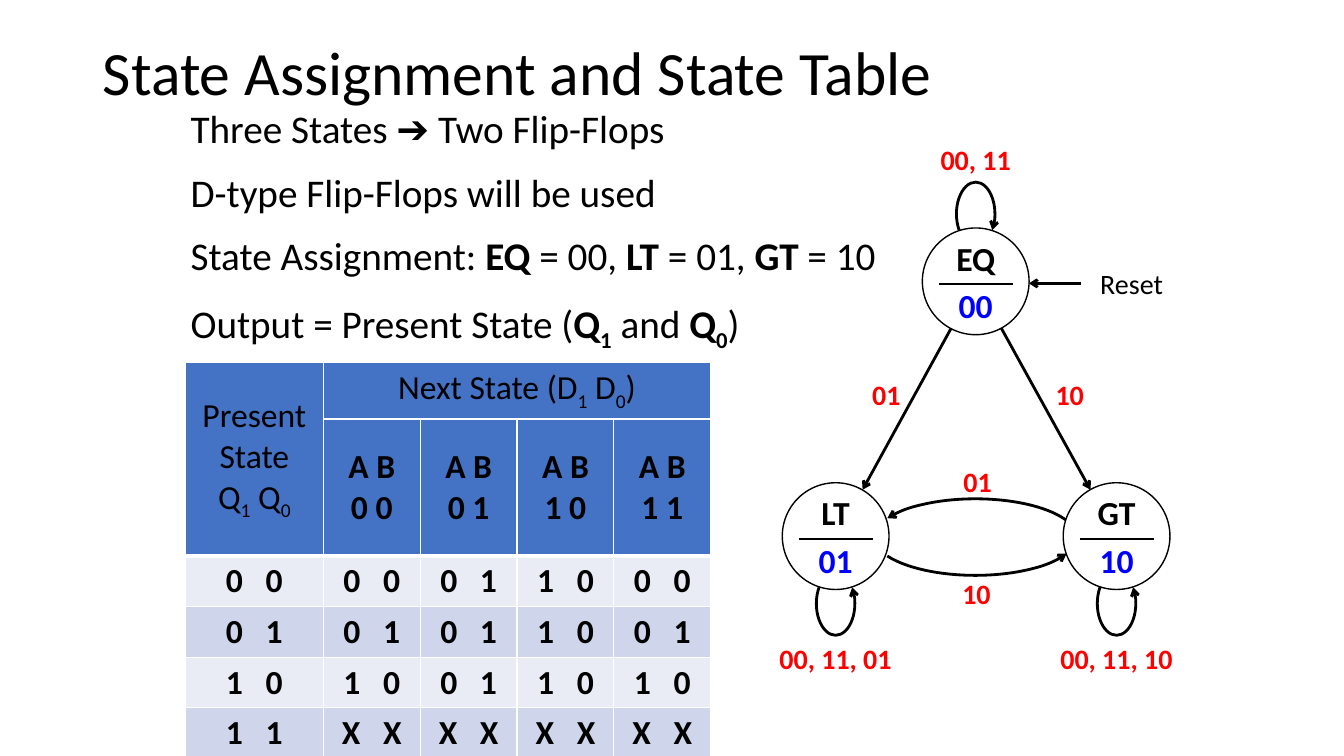
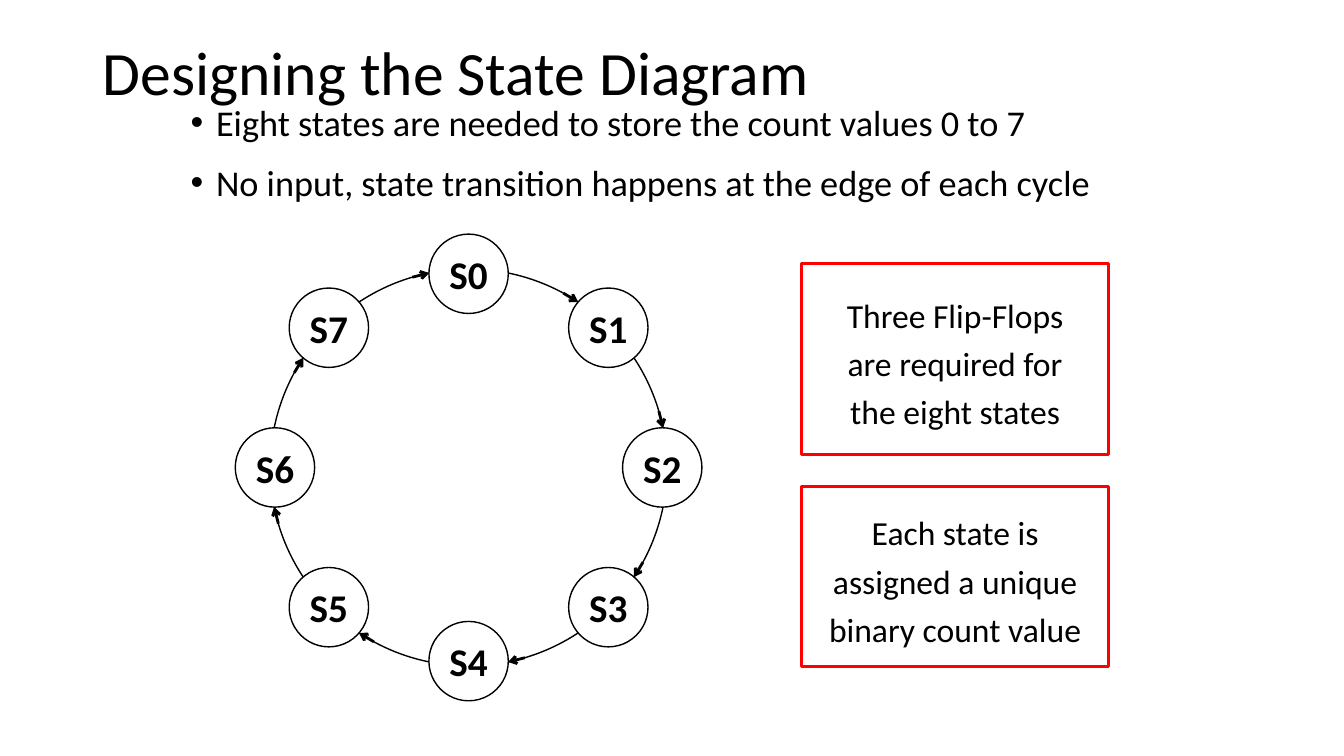
import math
from dataclasses import dataclass
from typing import Optional, Sequence, Union

import pptx
import pptx.dml.color
import pptx.enum.shapes
import pptx.enum.text
import pptx.oxml
import pptx.oxml.ns
import pptx.util
from lxml import etree

Cm, Pt = pptx.util.Cm, pptx.util.Pt
Shape = pptx.enum.shapes.MSO_SHAPE
Align = pptx.enum.text.PP_ALIGN
Anchor = pptx.enum.text.MSO_ANCHOR
qn = pptx.oxml.ns.qn

FONT = "Calibri"
COLORS = {
    "black": "000000", "white": "FFFFFF", "red": "FF0000", "blue": "0000FF",
    "header": "4472C4", "light band": "E9EBF5", "dark band": "CFD5EA",
}


@dataclass(frozen=True)
class Span:
    text: str
    bold: Optional[bool] = None
    sub: bool = False
    color: Optional[str] = None
    gap: float = 0  # extra character spacing in points


@dataclass(frozen=True)
class State:
    name: str
    code: str
    x: float
    y: float
    loop_text: str
    loop_width: float
    loop_side: int  # -1 above the circle, 1 below it


@dataclass(frozen=True)
class Label:
    text: str
    x: float
    y: float
    width: float
    color: str = "red"
    bold: bool = True


@dataclass(frozen=True)
class Arrow:
    start: tuple[float, float]
    end: tuple[float, float]


@dataclass(frozen=True)
class Note:
    top: float
    height: float
    lines: tuple[str, ...]


Line = Union[str, Sequence[Span]]


def rgb(name: str):
    return pptx.dml.color.RGBColor.from_string(COLORS[name])


def add_span(para, span: Span, *, size: float, color: str, bold: bool) -> None:
    run = para.add_run()
    run.text = span.text
    run.font.name = FONT
    run.font.size = Pt(size)
    run.font.bold = bold if span.bold is None else span.bold
    run.font.color.rgb = rgb(span.color or color)
    properties = run._r.get_or_add_rPr()
    if span.sub:
        properties.set("baseline", "-25000")
    if span.gap:
        properties.set("spc", str(round(span.gap * 100)))


def set_bullet(para, bullet: str) -> None:
    """Set a hanging bullet, or none when the string is empty."""
    properties = para._p.get_or_add_pPr()
    indent = Cm(0.64) if bullet else 0
    properties.set("marL", str(indent))
    properties.set("indent", str(-indent))
    if bullet:
        etree.SubElement(properties, qn("a:buFont"), typeface="Arial")
        etree.SubElement(properties, qn("a:buChar"), char=bullet)
    else:
        etree.SubElement(properties, qn("a:buNone"))


def write(frame, lines: Sequence[Line], *, size: float, color: str = "black",
          bold: bool = False, align=Align.CENTER, spacing: Optional[float] = None,
          before: float = 0, after: float = 0, bullet: Optional[str] = None) -> None:
    """Fill a text frame, one paragraph per line; before and after act between lines."""
    for index, line in enumerate(lines):
        para = frame.paragraphs[0] if index == 0 else frame.add_paragraph()
        if bullet is not None:
            set_bullet(para, bullet)
        para.alignment = align
        para.line_spacing = spacing
        para.space_before = Pt(before if index else 0)
        para.space_after = Pt(after if index < len(lines) - 1 else 0)
        for span in [Span(line)] if isinstance(line, str) else line:
            add_span(para, span, size=size, color=color, bold=bold)


def set_frame(frame, vertical: float = 0, wrap: bool = True) -> None:
    """Centre the text vertically and leave no side margins."""
    frame.word_wrap = wrap
    frame.vertical_anchor = Anchor.MIDDLE
    frame.margin_left = frame.margin_right = 0
    frame.margin_top = frame.margin_bottom = Cm(vertical)


def place(shape, left: float, top: float, width: float, height: float) -> None:
    shape.left, shape.top, shape.width, shape.height = map(Cm, (left, top, width, height))


def add_page(deck, title: str, lines: Sequence[Line], *, body: tuple[float, ...],
             size: float, bullet: str = ""):
    page = deck.slides.add_slide(deck.slide_layouts[1])
    heading, content = page.placeholders
    place(heading, 2.34, 0.06, 29.21, 3.68)
    place(content, *body)
    heading.text_frame.vertical_anchor = Anchor.MIDDLE
    content.text_frame.vertical_anchor = Anchor.TOP
    for shape in (heading, content):
        shape.text_frame.auto_size = pptx.enum.text.MSO_AUTO_SIZE.NONE
    write(heading.text_frame, [title], size=44, align=Align.LEFT, spacing=0.9)
    write(content.text_frame, lines, size=size, align=Align.LEFT, spacing=0.9,
          before=15, bullet=bullet)
    return page


def add_outline(page, kind, x: float, y: float, width: float, height: float, *,
                fill: Optional[str] = None, line: str = "black", weight: float = 1):
    """Add a preset shape centred on x, y."""
    shape = page.shapes.add_shape(kind, Cm(x - width / 2), Cm(y - height / 2),
                                  Cm(width), Cm(height))
    shape.shadow.inherit = False
    if fill:
        shape.fill.solid()
        shape.fill.fore_color.rgb = rgb(fill)
    else:
        shape.fill.background()
    shape.line.color.rgb = rgb(line)
    shape.line.width = Pt(weight)
    return shape


def add_arrowhead(shape, end: str) -> None:
    etree.SubElement(shape.line._get_or_add_ln(), qn(f"a:{end}"), type="arrow")


def add_arc(page, x: float, y: float, width: float, height: float,
            angles: tuple[float, float], *, flip: bool = False, end: str = "tailEnd") -> None:
    arc = add_outline(page, Shape.ARC, x, y, width, height, weight=2)
    arc.adjustments[0], arc.adjustments[1] = angles
    if flip:
        arc._element.spPr.xfrm.set("flipV", "1")
    add_arrowhead(arc, end)


def add_line(page, start: tuple[float, float], end: tuple[float, float], *,
             weight: float = 1, arrow: bool = False) -> None:
    line = page.shapes.add_connector(pptx.enum.shapes.MSO_CONNECTOR.STRAIGHT,
                                     *map(Cm, (*start, *end)))
    line.line.color.rgb = rgb("black")
    line.line.width = Pt(weight)
    if arrow:
        add_arrowhead(line, "tailEnd")
    etree.SubElement(line._element.spPr, qn("a:effectLst"))


def add_label(page, label: Label) -> None:
    height = 1.24
    box = page.shapes.add_textbox(Cm(label.x - label.width / 2), Cm(label.y - height / 2),
                                  Cm(label.width), Cm(height))
    set_frame(box.text_frame, wrap=False)
    write(box.text_frame, [label.text], size=20, color=label.color, bold=label.bold)


def add_state(page, state: State) -> None:
    side = state.loop_side
    add_arc(page, state.x, state.y + side * 1.7, 0.97, 1.6, (80.3, 26.56), flip=side > 0)
    add_label(page, Label(state.loop_text, state.x, state.y + side * 3.07, state.loop_width))
    circle = add_outline(page, Shape.OVAL, state.x, state.y, 2.69, 2.69, fill="white")
    set_frame(circle.text_frame)
    write(circle.text_frame, [state.name, [Span(state.code, color="blue")]],
          size=24, bold=True, after=5)
    divider = state.y + 0.07
    add_line(page, (state.x - 0.93, divider), (state.x + 0.93, divider))


def add_state_diagram(page) -> None:
    for arrow in (Arrow((24.61, 7.14), (27.48, 12.34)),
                  Arrow((24.59, 7.14), (21.74, 12.34)),
                  Arrow((27.23, 7.14), (25.93, 7.14))):
        add_line(page, arrow.start, arrow.end, weight=2, arrow=True)
    swing = (115.8, 209.3)
    add_arc(page, 24.58, 13.57, 5.16, 2, swing, end="headEnd")
    add_arc(page, 24.58, 13.5, 5.16, 2, swing, flip=True)
    for state in (State("EQ", "00", 24.59, 7.09, "00, 11", 2.26, -1),
                  State("LT", "01", 21.06, 13.51, "00, 11, 01", 3.33, 1),
                  State("GT", "10", 28.14, 13.51, "00, 11, 10", 3.33, 1)):
        add_state(page, state)
    for label in (Label("01", 22.34, 9.94, 0.94), Label("10", 26.96, 9.94, 0.94),
                  Label("01", 24.64, 12.14, 1.17), Label("10", 24.61, 14.96, 1.17),
                  Label("Reset", 28.52, 7.15, 2.08, "black", False)):
        add_label(page, label)


def fill_cell(cell, lines: Sequence[Line], *, fill: str, bold: bool,
              top: float = 1, bottom: float = 1) -> None:
    properties = cell._tc.get_or_add_tcPr()
    for side, weight in (("L", 1), ("R", 1), ("T", top), ("B", bottom)):
        border = etree.SubElement(properties, qn(f"a:ln{side}"), w=str(Pt(weight)))
        paint = etree.SubElement(border, qn("a:solidFill"))
        etree.SubElement(paint, qn("a:srgbClr"), val=COLORS["white"])
    cell.fill.solid()
    cell.fill.fore_color.rgb = rgb(fill)
    cell.vertical_anchor = Anchor.MIDDLE
    cell.margin_left = cell.margin_right = 0
    cell.margin_top = cell.margin_bottom = Cm(0.13)
    write(cell.text_frame, lines, size=24, bold=bold)


def add_state_table(page) -> None:
    widths = [3.48] + [2.44] * 4
    heights = [1.4, 1.88] + [0.94] * 4
    table = page.shapes.add_table(len(heights), len(widths), Cm(4.67), Cm(9.14),
                                  Cm(sum(widths)), Cm(sum(heights))).table
    table.first_row = table.horz_banding = False
    for column, width in zip(table.columns, widths):
        column.width = Cm(width)
    for row, height in zip(table.rows, heights):
        row.height = Cm(height)
    table.cell(0, 0).merge(table.cell(1, 0))
    table.cell(0, 1).merge(table.cell(0, 4))
    present = ["Present", "State", [Span("Q"), Span("1", sub=True),
                                    Span(" Q"), Span("0", sub=True)]]
    following = [[Span("Next State (D"), Span("1", sub=True), Span(" D"),
                  Span("0", sub=True), Span(")")]]
    fill_cell(table.cell(0, 0), present, fill="header", bold=False, bottom=3)
    fill_cell(table.cell(0, 1), following, fill="header", bold=False)
    for column, inputs in enumerate(("0 0", "0 1", "1 0", "1 1"), start=1):
        fill_cell(table.cell(1, column), ["A B", inputs], fill="header", bold=True, bottom=3)
    rows = ("00 00 01 10 00", "01 01 01 10 01", "10 10 01 10 10", "11 XX XX XX XX")
    for index, row in enumerate(rows):
        for column, (high, low) in enumerate(row.split()):
            fill_cell(table.cell(index + 2, column),
                      [[Span(high), Span(" ", gap=10.8), Span(low)]],
                      fill="dark band" if index % 2 else "light band", bold=True,
                      top=3 if index == 0 and column else 1)


def add_count_ring(page, count: int = 8) -> None:
    center_x, center_y, radius, node = 11.81, 11.78, 5.0, 2.0

    def at(degrees: float, reach: float = radius) -> tuple[float, float]:
        """Point at a clockwise angle from the top of the ring."""
        angle = math.radians(degrees)
        return center_x + reach * math.sin(angle), center_y - reach * math.cos(angle)

    add_outline(page, Shape.OVAL, center_x, center_y, 2 * radius, 2 * radius)
    edge = math.degrees(2 * math.asin(node / 4 / radius))
    for index in range(count):
        turn = index * 360 / count
        reach = 4.98 if index % 2 else 4.88
        circle = add_outline(page, Shape.OVAL, *at(turn, reach), node, node, fill="white")
        set_frame(circle.text_frame, vertical=0.13)
        write(circle.text_frame, [f"S{index}"], size=28, bold=True)
        add_line(page, at(turn - edge - 5), at(turn - edge), weight=2, arrow=True)


def add_note(page, note: Note) -> None:
    box = add_outline(page, Shape.RECTANGLE, 24.07, note.top + note.height / 2,
                      7.75, note.height, line="red", weight=2)
    set_frame(box.text_frame)
    write(box.text_frame, note.lines, size=24, spacing=1.2)


def main() -> None:
    deck = pptx.Presentation()
    deck.slide_width, deck.slide_height = Cm(33.87), Cm(19.05)

    assignment = [Span("State Assignment: "), Span("EQ", True), Span(" = 00, "),
                  Span("LT", True), Span(" = 01, "), Span("GT", True), Span(" = 10")]
    output = [Span("Output = Present State ("), Span("Q", True), Span("1", True, sub=True),
              Span(" and "), Span("Q", True), Span("0", True, sub=True), Span(")")]
    page = add_page(deck, "State Assignment and State Table",
                    ["Three States ➔ Two Flip-Flops", "D-type Flip-Flops will be used",
                     assignment, output], body=(4.55, 2.64, 17.86, 6.38), size=28)
    add_state_diagram(page)
    add_state_table(page)

    page = add_page(deck, "Designing the State Diagram",
                    ["Eight states are needed to store the count values 0 to 7",
                     "No input, state transition happens at the edge of each cycle"],
                    body=(4.55, 2.51, 24.77, 3.12), size=25.9, bullet="•")
    add_count_ring(page)
    add_note(page, Note(6.65, 4.8, ("Three Flip-Flops", "are required for",
                                    "the eight states")))
    add_note(page, Note(12.27, 4.52, ("Each state is", "assigned a unique",
                                      "binary count value")))
    deck.save("out.pptx")


if __name__ == "__main__":
    main()
